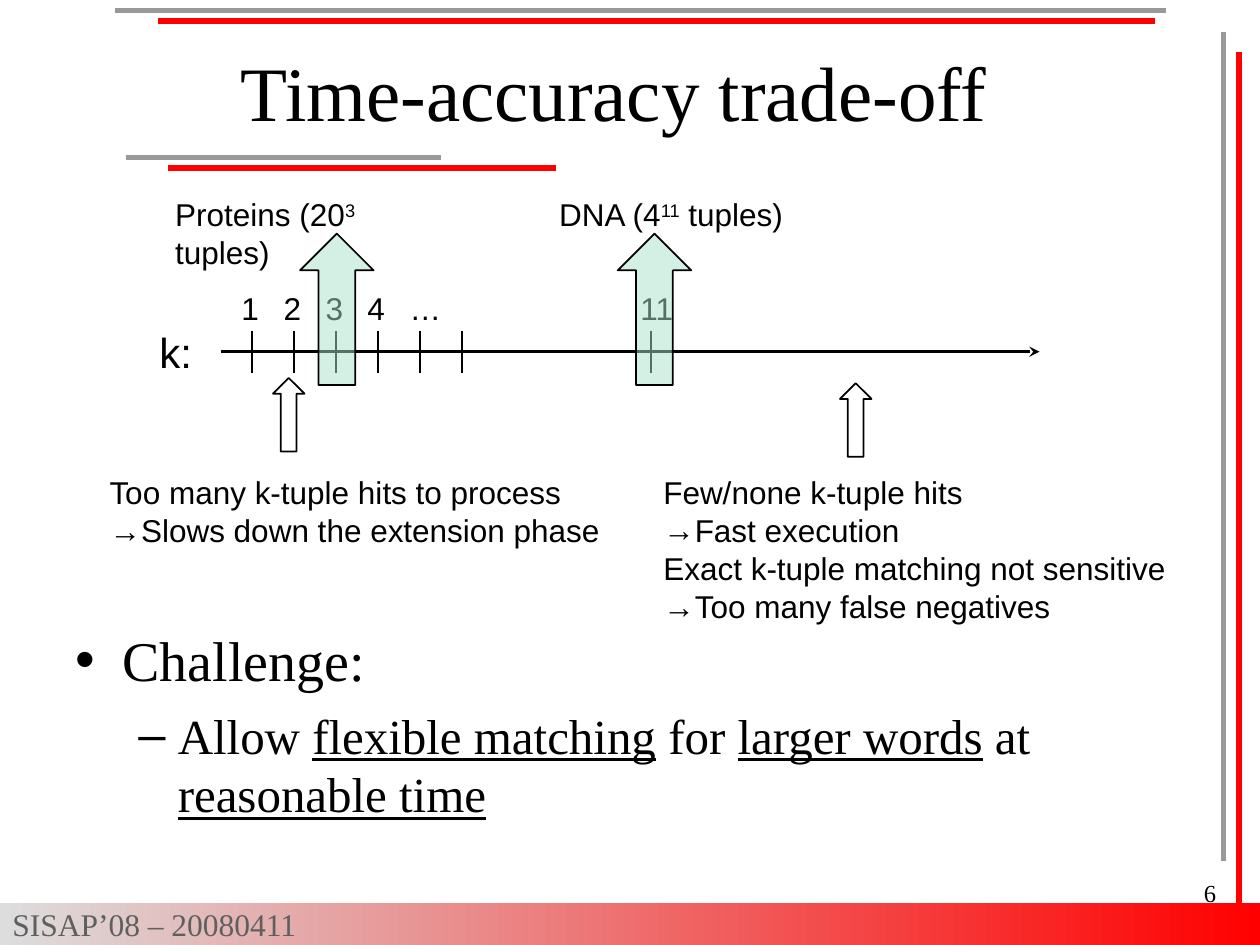
from pptx import Presentation
from pptx.dml.color import RGBColor
from pptx.enum.shapes import MSO_CONNECTOR, MSO_SHAPE
from pptx.enum.text import MSO_ANCHOR, PP_ALIGN
from pptx.oxml.ns import qn
from pptx.util import Pt
from lxml.etree import SubElement

BLACK = RGBColor(0, 0, 0)
WHITE = RGBColor(0xFF, 0xFF, 0xFF)
RED = RGBColor(0xFF, 0, 0)
GREY = RGBColor(0x99, 0x99, 0x99)
PALE = RGBColor(0xDD, 0xDD, 0xDD)
DARK = RGBColor(0x5F, 0x5F, 0x5F)
MINT = RGBColor(0xAA, 0xE2, 0xCA)
SERIF, SANS = "Times New Roman", "Arial"
PLAIN, RAISED, UNDER = {}, {"base": 30000}, {"underline": True}


def add_line(slide, x1, y1, x2, y2, color=BLACK, width=1, head=None):
    line = slide.shapes.add_connector(
        MSO_CONNECTOR.STRAIGHT, Pt(x1), Pt(y1), Pt(x2), Pt(y2))
    line.line.color.rgb = color
    line.line.width = Pt(width)
    if head:
        SubElement(line.line._get_or_add_ln(), qn("a:tailEnd"), type=head)
    SubElement(line._element.spPr, qn("a:effectLst"))


def add_runs(para, runs, size, font, color=BLACK):
    """Fill a paragraph from a string or from (text, style) pairs."""
    if isinstance(runs, str):
        runs = [(runs, PLAIN)]
    for text, style in runs:
        run = para.add_run()
        run.text = text
        run.font.color.rgb = color
        look = {"size": Pt(size), "name": font, **style}
        base = look.pop("base", None)
        for key, value in look.items():
            setattr(run.font, key, value)
        if base:
            run.font._element.set("baseline", str(base))


def add_bullet(para, char, left=0, hang=0):
    props = para._p.get_or_add_pPr()
    props.set("marL", str(Pt(left)))
    props.set("indent", str(Pt(-hang)))
    SubElement(props, qn("a:buFont"), typeface="Arial")
    SubElement(props, qn("a:buChar"), char=char)


def set_frame(frame, wrap=True, pad=True, anchor=MSO_ANCHOR.TOP):
    frame.word_wrap = wrap
    frame.vertical_anchor = anchor
    if not pad:
        for side in ("left", "top", "right", "bottom"):
            setattr(frame, f"margin_{side}", 0)


def add_text(slide, box, lines, size, font, align=PP_ALIGN.LEFT, **frame):
    """Add a text box with one paragraph per line and return its paragraphs."""
    shape = slide.shapes.add_textbox(*map(Pt, box))
    set_frame(shape.text_frame, **frame)
    for i, runs in enumerate(lines):
        para = shape.text_frame.paragraphs[0] if i == 0 else shape.text_frame.add_paragraph()
        para.alignment = align
        add_runs(para, runs, size, font)
    return shape.text_frame.paragraphs


def add_arrow(slide, box, color, alpha=None):
    arrow = slide.shapes.add_shape(MSO_SHAPE.UP_ARROW, *map(Pt, box))
    arrow.shadow.inherit = False
    arrow.fill.solid()
    arrow.fill.fore_color.rgb = color
    arrow.line.color.rgb = BLACK
    arrow.line.width = Pt(1)
    if alpha:
        tint = arrow._element.spPr.find(qn("a:solidFill"))[0]
        SubElement(tint, qn("a:alpha"), val=str(alpha * 1000))


def add_footer(slide, x, y, w, h):
    bar = slide.shapes.add_shape(MSO_SHAPE.RECTANGLE, Pt(x), Pt(y), Pt(w), Pt(h))
    bar.shadow.inherit = False
    bar.line.fill.background()
    bar.fill.gradient()
    bar.fill.gradient_angle = 0
    for stop, place, color in zip(bar.fill.gradient_stops, (0, 1), (PALE, RED)):
        stop.position = place
        stop.color.rgb = color
    set_frame(bar.text_frame, anchor=MSO_ANCHOR.MIDDLE)
    para = bar.text_frame.paragraphs[0]
    para.alignment = PP_ALIGN.LEFT
    add_runs(para, "SISAP’08 – 20080411", 18, SERIF, DARK)


def add_frame(slide, x, y):
    """Draw the paired grey and red rules around the title and right edge."""
    rules = [(30, 90, 252, 90, RED), (24, 6, 594, 6, RED),
             (6, 84, 186, 84, GREY), (0, 0, 600, 0, GREY),
             (633, 12, 633, 486, GREY), (642, 24, 642, 510, RED)]
    for x1, y1, x2, y2, color in rules:
        add_line(slide, x + x1, y + y1, x + x2, y + y2, color, 3)


def add_axis(slide, x, y, w):
    """Draw the k axis, its ticks and their labels; x, y is its left end."""
    step, first = 24, x + 18
    add_line(slide, x, y, x + w, y, BLACK, 1.75, "stealth")
    ticks = [(i, label) for i, label in enumerate(["1", "2", "3", "4", "…", ""])]
    for i, label in ticks + [(9.5, "11")]:
        tick = first + i * step
        add_line(slide, tick, y - 12, tick, y + 12)
        if label:
            wide = {"…": 18, "11": 20}.get(label, 10)
            add_text(slide, (tick - 6, y - 36, wide, 21.5), [label], 18, SANS,
                     wrap=False, pad=False)
    add_text(slide, (x - 42, y - 18, 33, 36), ["k:"], 24, SANS, wrap=False)


def add_choice(slide, x, y, w, name, power, shift):
    """Place a labelled mint arrow that marks the k in use."""
    runs = [(name, PLAIN), (power, RAISED), (" tuples)", PLAIN)]
    add_text(slide, (x, y, w, 29), [runs], 18, SANS, wrap=False)
    add_arrow(slide, (x + shift, y + 25.5, 42, 86.5), MINT, 50)


def add_effect(slide, x, y, w, h, lines, shift, rise):
    """Place a white arrow above the lines that explain one side of the axis."""
    add_arrow(slide, (x + shift, y - rise, 18, 42), WHITE)
    return add_text(slide, (x, y, w, h), lines, 18, SANS)


def add_body(slide, x, y, w, h):
    task = [("Allow ", PLAIN), ("flexible matching", UNDER), (" for ", PLAIN),
            ("larger words", UNDER), (" at ", PLAIN), ("reasonable time", UNDER)]
    paras = add_text(slide, (x, y, w, h), ["Challenge:", task], 32, SERIF)
    looks = [("•", 27, 27, 32, 8), ("–", 58.5, 22.5, 28, 7)]
    for para, (char, left, hang, size, gap) in zip(paras, looks):
        para.space_before = Pt(gap)
        add_bullet(para, char, left, hang)
        for run in para.runs:
            run.font.size = Pt(size)


def main():
    deck = Presentation()
    deck.slide_width, deck.slide_height = Pt(720), Pt(540)
    slide = deck.slides.add_slide(deck.slide_layouts[6])
    add_footer(slide, 0, 516, 720, 24)
    add_frame(slide, 66, 6)
    add_text(slide, (78, 20, 546, 64), ["Time-accuracy trade-off"], 44, SERIF,
             PP_ALIGN.CENTER, anchor=MSO_ANCHOR.MIDDLE)
    add_body(slide, 36, 354, 630, 132)
    add_text(slide, (612, 498, 90, 18), ["6"], 14, SERIF, PP_ALIGN.RIGHT)
    add_axis(slide, 126, 201, 468)
    add_effect(slide, 55.5, 267, 300, 50,
               ["Too many k-tuple hits to process",
                "→Slows down the extension phase"], 100.5, 51)
    paras = add_effect(slide, 372, 267, 304.5, 93.5,
                       ["Few/none k-tuple hits", "Fast execution",
                        "Exact k-tuple matching not sensitive",
                        "→Too many false negatives"], 108, 48)
    add_bullet(paras[1], "→")
    add_choice(slide, 93, 108, 176, "Proteins (20", "3", 78.5)
    add_choice(slide, 312.5, 108, 144, "DNA (4", "11", 40.5)
    deck.save("out.pptx")


if __name__ == "__main__":
    main()
